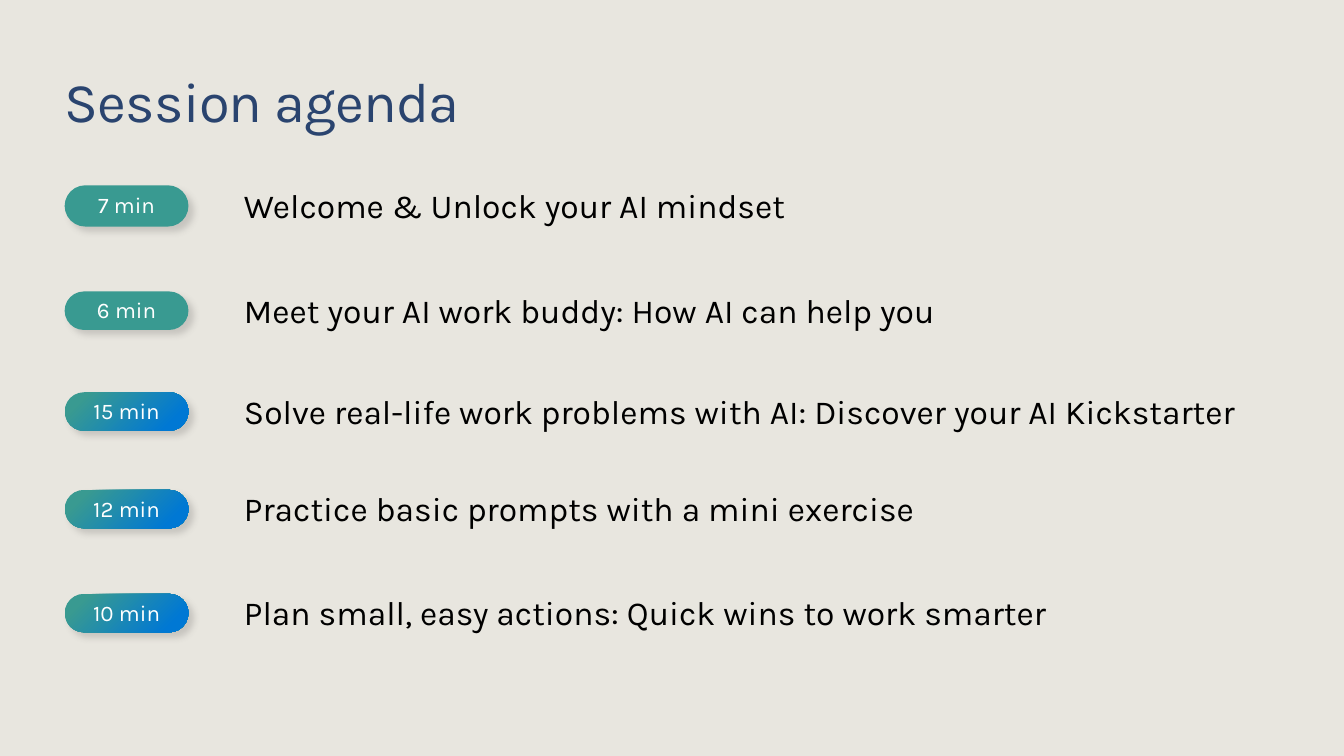
from dataclasses import dataclass

from lxml import etree
from pptx import Presentation
from pptx import util as u
from pptx.dml.color import RGBColor
from pptx.enum import shapes, text
from pptx.oxml import parse_xml
from pptx.oxml.ns import nsdecls, qn

COLORS = {
    "background": "E8E6DF",
    "title": "2A446F",
    "body": "000000",
    "pill_text": "FFFFFF",
    "teal": "399A91",
    "blue": "0078D4",
    "shadow": "454142",
}
FONT = "Karla"
LEFT = 1.63
PILL_WIDTH = 3.12
TOPIC_LEFT = 6.15
TOPIC_WIDTH = 27.2
ROW_HEIGHT = 0.97
TOPIC_RISE = 0.04


@dataclass(frozen=True)
class AgendaItem:
    duration: str
    topic: str
    center: float
    gradient: bool = False
    pill_height: float = ROW_HEIGHT


AGENDA = [
    AgendaItem("7 min", "Welcome & Unlock your AI mindset", 5.19, pill_height=1.04),
    AgendaItem("6 min", "Meet your AI work buddy: How AI can help you", 7.83),
    AgendaItem("15 min", "Solve real-life work problems with AI: Discover your AI Kickstarter", 10.37, True),
    AgendaItem("12 min", "Practice basic prompts with a mini exercise", 12.83, True),
    AgendaItem("10 min", "Plan small, easy actions: Quick wins to work smarter", 15.45, True),
]


def rgb(name: str) -> RGBColor:
    return RGBColor.from_string(COLORS[name])


def write(shape, content: str, size: float, color: str, bottom: float = 0, **paragraph_format):
    """Put one paragraph into the shape and return its run."""
    frame = shape.text_frame
    frame_format = {
        "word_wrap": True,
        "margin_left": 0,
        "margin_right": 0,
        "margin_top": 0,
        "margin_bottom": u.Cm(bottom),
    }
    for name, value in frame_format.items():
        setattr(frame, name, value)
    paragraph = frame.paragraphs[0]
    for name, value in paragraph_format.items():
        setattr(paragraph, name, value)
    run = paragraph.add_run()
    run.text = content
    for name, value in {"name": FONT, "size": u.Pt(size)}.items():
        setattr(run.font, name, value)
    run.font.color.rgb = rgb(color)
    return run


def add_gradient(shape) -> None:
    """Fill with a circular gradient that spreads from the lower right corner."""
    gradient = parse_xml(
        f'<a:gradFill {nsdecls("a")} rotWithShape="1"><a:gsLst>'
        f'<a:gs pos="15000"><a:srgbClr val="{COLORS["blue"]}"/></a:gs>'
        f'<a:gs pos="85000"><a:srgbClr val="{COLORS["teal"]}"/></a:gs></a:gsLst>'
        '<a:path path="circle"><a:fillToRect l="100000" t="100000"/></a:path></a:gradFill>'
    )
    properties = shape.element.spPr
    properties.replace(properties.find(qn("a:solidFill")), gradient)


def add_shadow(shape) -> None:
    shape.shadow.inherit = False
    effects = shape.element.spPr.find(qn("a:effectLst"))
    shadow = etree.SubElement(
        effects, qn("a:outerShdw"), blurRad=str(u.Pt(5)), dist=str(u.Pt(5)),
        dir="2700000", algn="tl", rotWithShape="0",
    )
    color = etree.SubElement(shadow, qn("a:srgbClr"), val=COLORS["shadow"])
    etree.SubElement(color, qn("a:alpha"), val="20000")


def add_title(slide, content: str) -> None:
    title = slide.shapes.add_textbox(u.Cm(LEFT), u.Cm(1.85), u.Cm(30.6), u.Cm(1.55))
    run = write(title, content, 40, "title", line_spacing=0.9)
    run.font._element.set("spc", "-50")
    title.text_frame.vertical_anchor = text.MSO_ANCHOR.BOTTOM


def add_pill(slide, item: AgendaItem) -> None:
    pill = slide.shapes.add_shape(
        shapes.MSO_SHAPE.ROUNDED_RECTANGLE,
        u.Cm(LEFT), u.Cm(item.center - item.pill_height / 2),
        u.Cm(PILL_WIDTH), u.Cm(item.pill_height),
    )
    pill.adjustments[0] = 0.5
    pill.fill.solid()
    pill.fill.fore_color.rgb = rgb("teal")
    pill.line.fill.background()
    if item.gradient:
        add_gradient(pill)
    add_shadow(pill)
    write(pill, item.duration, 16, "pill_text", bottom=0.05, alignment=text.PP_ALIGN.CENTER)
    pill.text_frame.vertical_anchor = text.MSO_ANCHOR.MIDDLE


def add_topic(slide, item: AgendaItem) -> None:
    topic = slide.shapes.add_textbox(
        u.Cm(TOPIC_LEFT), u.Cm(item.center - ROW_HEIGHT / 2 - TOPIC_RISE),
        u.Cm(TOPIC_WIDTH), u.Cm(ROW_HEIGHT),
    )
    write(topic, item.topic, 24, "body", space_after=u.Pt(12))


def main() -> None:
    presentation = Presentation()
    presentation.slide_width = u.Cm(33.87)
    presentation.slide_height = u.Cm(19.05)
    slide = presentation.slides.add_slide(presentation.slide_layouts[6])
    slide.background.fill.solid()
    slide.background.fill.fore_color.rgb = rgb("background")

    add_title(slide, "Session agenda")
    for item in AGENDA:
        add_pill(slide, item)
        add_topic(slide, item)

    presentation.save("out.pptx")


if __name__ == "__main__":
    main()
